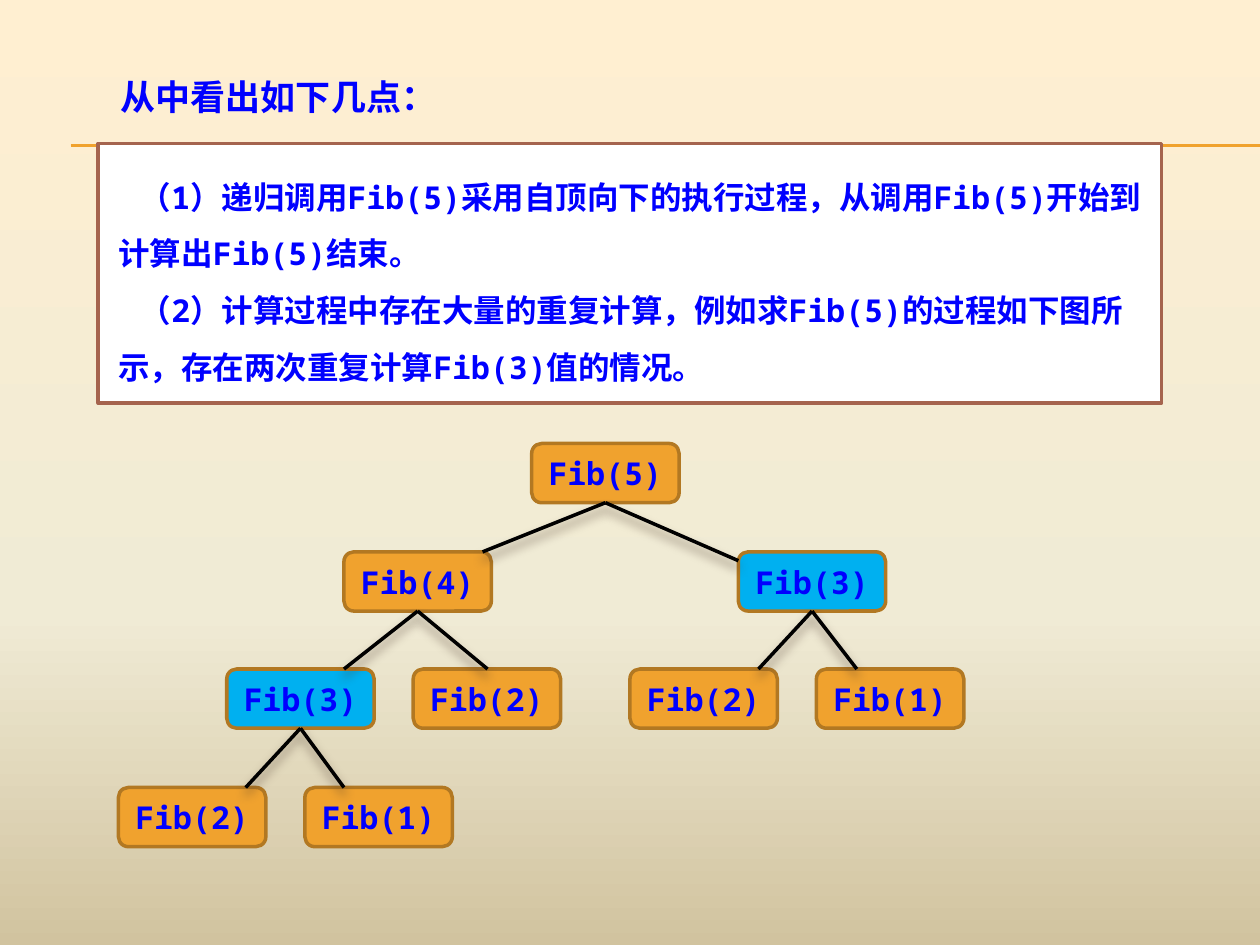
from copy import deepcopy

from lxml import etree
from pptx import Presentation
from pptx.dml.color import RGBColor
from pptx.enum.shapes import MSO_CONNECTOR, MSO_SHAPE
from pptx.enum.text import MSO_ANCHOR, PP_ALIGN
from pptx.oxml.ns import qn
from pptx.util import Inches, Pt

STRAIGHT = MSO_CONNECTOR.STRAIGHT
RECTANGLE = MSO_SHAPE.RECTANGLE
ROUNDED = MSO_SHAPE.ROUNDED_RECTANGLE
TOP, MIDDLE = MSO_ANCHOR.TOP, MSO_ANCHOR.MIDDLE
LEFT, CENTER = PP_ALIGN.LEFT, PP_ALIGN.CENTER

BLUE = RGBColor(0x00, 0x00, 0xFF)
ORANGE = RGBColor(0xF0, 0xA2, 0x2E)
BROWN = RGBColor(0xB2, 0x78, 0x22)
SKY = RGBColor(0x00, 0xB0, 0xF0)
RUST = RGBColor(0xA5, 0x64, 0x4E)
WHITE = RGBColor(0xFF, 0xFF, 0xFF)
BLACK = RGBColor(0x00, 0x00, 0x00)
SHADOW = RGBColor(0x4E, 0x3B, 0x30)
BACKGROUND = [
    (0, RGBColor(0xFF, 0xEF, 0xD1)),
    (0.65, RGBColor(0xF0, 0xEB, 0xD5)),
    (1, RGBColor(0xD1, 0xC3, 0x9F)),
]

CHINESE_FONT = "Noto Sans CJK SC"
CODE_FONT = "Noto Sans Mono"
NODE_WIDTH, NODE_HEIGHT = 1.17, 0.47

POINTS = [
    "（1）递归调用Fib(5)采用自顶向下的执行过程，从调用Fib(5)开始到计算出Fib(5)结束。",
    "（2）计算过程中存在大量的重复计算，例如求Fib(5)的过程如下图所示，存在两次重复计算Fib(3)值的情况。",
]
NODES = {
    "root": (5, 4.22, 3.52),
    "left": (4, 2.73, 4.38),
    "right": (3, 5.86, 4.38),
    "left left": (3, 1.8, 5.31),
    "left right": (2, 3.28, 5.31),
    "right left": (2, 5, 5.31),
    "right right": (1, 6.48, 5.31),
    "lowest left": (2, 0.94, 6.25),
    "lowest right": (1, 2.42, 6.25),
}
BRANCHES = [
    ("left left", "lowest left", 1.01, 0),
    ("left left", "lowest right", 0.31, 0),
    ("left", "left left", 0.93, 0),
    ("left", "left right", 0.59, 0),
    ("right", "right left", 1.02, 0),
    ("right", "right right", 0.32, 0),
    ("root", "left", 1.1, 0),
    ("root", "right", 0, 0.07),
]


def paint_background(page):
    """Fill the page with the three-stop vertical gradient."""
    fill = page.background.fill
    fill.gradient()
    fill.gradient_angle = 270
    stops = page.background._cSld.find(".//" + qn("a:gsLst"))
    stops.append(deepcopy(stops[-1]))
    for stop, (position, color) in zip(fill.gradient_stops, BACKGROUND):
        stop.position = position
        stop.color.rgb = color


def style_paragraph(para, text, font_name, size, align=LEFT):
    """Write bold blue text in one paragraph."""
    para.text = text
    para.alignment = align
    font = para.font
    font.name = font_name
    font.size = Pt(size)
    font.bold = True
    font.color.rgb = BLUE
    properties = para._p.pPr.find(qn("a:defRPr"))
    etree.SubElement(properties, qn("a:ea"), typeface=CHINESE_FONT)


def add_line(page, start, end, color, width):
    """Draw a straight line and return its effect list."""
    line = page.shapes.add_connector(STRAIGHT, *map(Inches, start + end))
    line.line.color.rgb = color
    line.line.width = Pt(width)
    return etree.SubElement(line._element.spPr, qn("a:effectLst"))


def add_panel(page, kind, box, fill, border):
    """Draw a filled and outlined shape."""
    panel = page.shapes.add_shape(kind, *map(Inches, box))
    panel.shadow.inherit = False
    panel.fill.solid()
    panel.fill.fore_color.rgb = fill
    panel.line.color.rgb = border
    panel.line.width = Pt(2)
    return panel


def add_title(page, box):
    """Place the heading in the given box."""
    frame = page.shapes.add_textbox(*map(Inches, box)).text_frame
    frame.word_wrap = True
    style_paragraph(frame.paragraphs[0], "从中看出如下几点：", CHINESE_FONT, 20)


def add_points(page, box):
    """Place the numbered points in a bordered panel."""
    frame = add_panel(page, RECTANGLE, box, WHITE, RUST).text_frame
    frame.word_wrap = True
    frame.vertical_anchor = TOP
    frame.margin_left = frame.margin_right = Inches(0.16)
    frame.margin_top = frame.margin_bottom = Inches(0.12)
    for index, point in enumerate(POINTS):
        para = frame.add_paragraph() if index else frame.paragraphs[0]
        style_paragraph(para, point, CODE_FONT, 18)
        para.line_spacing = 1.5
        para._p.pPr.set("indent", str(Inches(0.17)))
        para._p.pPr.set("marL", "0")


def add_node(page, number, left, top):
    """Place one call, with the repeated Fib(3) highlighted."""
    fill = SKY if number == 3 else ORANGE
    box = (left, top, NODE_WIDTH, NODE_HEIGHT)
    frame = add_panel(page, ROUNDED, box, fill, BROWN).text_frame
    frame.vertical_anchor = MIDDLE
    style_paragraph(frame.paragraphs[0], f"Fib({number})", CODE_FONT, 18, CENTER)


def add_branch(page, parent, child, across, down):
    """Join the bottom of a parent to a point on its child."""
    _, left, top = NODES[parent]
    _, child_left, child_top = NODES[child]
    start = (left + NODE_WIDTH / 2, top + NODE_HEIGHT)
    end = (child_left + across, child_top + down)
    effects = add_line(page, start, end, BLACK, 2)
    shadow = etree.SubElement(
        effects, qn("a:outerShdw"), blurRad=str(Pt(6)), dist=str(Pt(4)),
        dir="5400000", rotWithShape="0",
    )
    color = etree.SubElement(shadow, qn("a:srgbClr"), val=str(SHADOW))
    etree.SubElement(color, qn("a:alpha"), val="60000")


def add_call_tree(page):
    """Draw the tree of recursive calls."""
    for node in NODES.values():
        add_node(page, *node)
    for branch in BRANCHES:
        add_branch(page, *branch)


def main():
    """Build and save the deck."""
    deck = Presentation()
    deck.slide_width, deck.slide_height = Inches(10), Inches(7.5)
    page = deck.slides.add_slide(deck.slide_layouts[6])
    paint_background(page)
    for height in (1.15, 1.16):
        add_line(page, (0.56, height), (10, height), ORANGE, 0.75)
    add_title(page, (0.86, 0.55, 5.78, 0.44))
    add_points(page, (0.78, 1.14, 8.44, 2.06))
    add_call_tree(page)
    deck.save("out.pptx")


if __name__ == "__main__":
    main()
